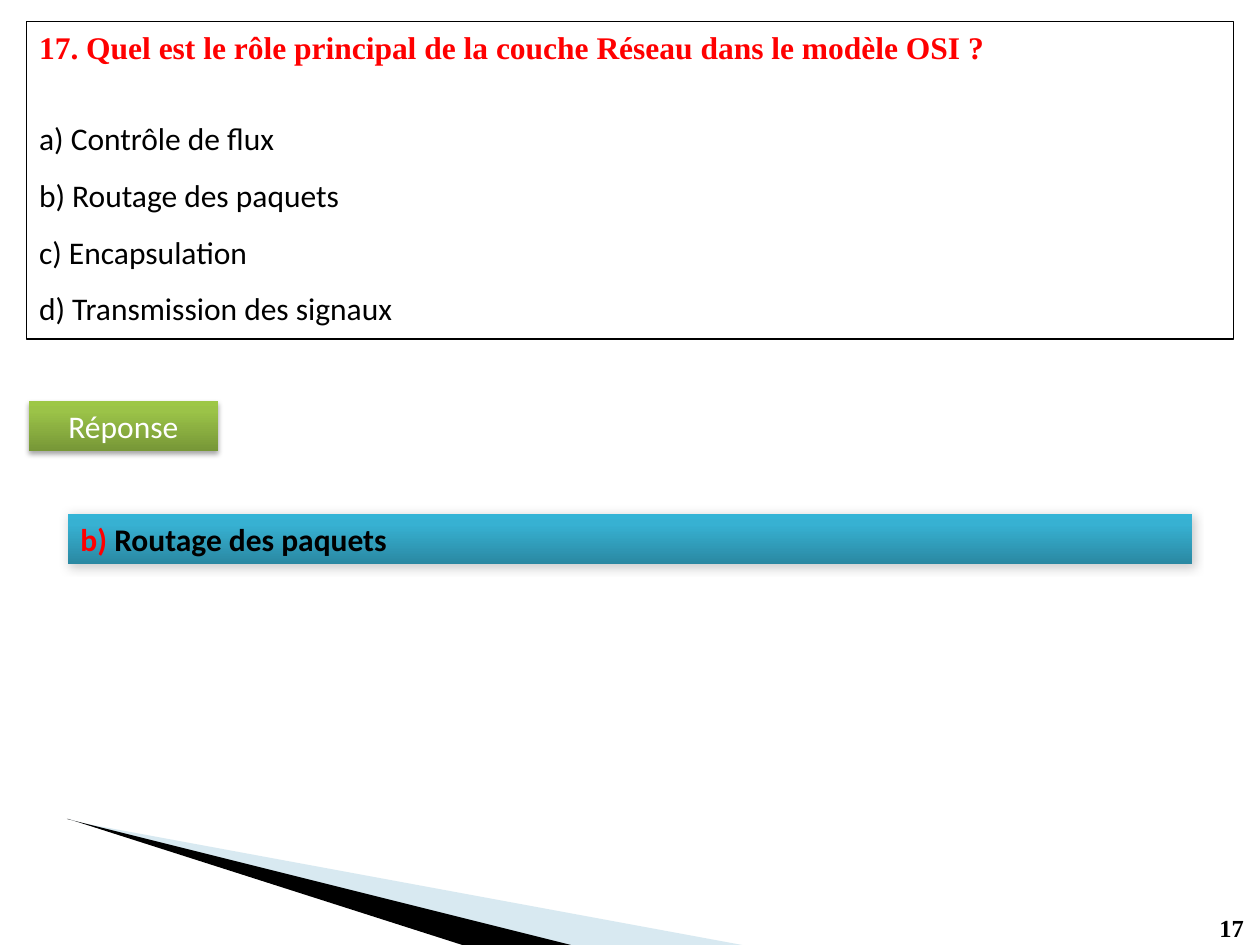
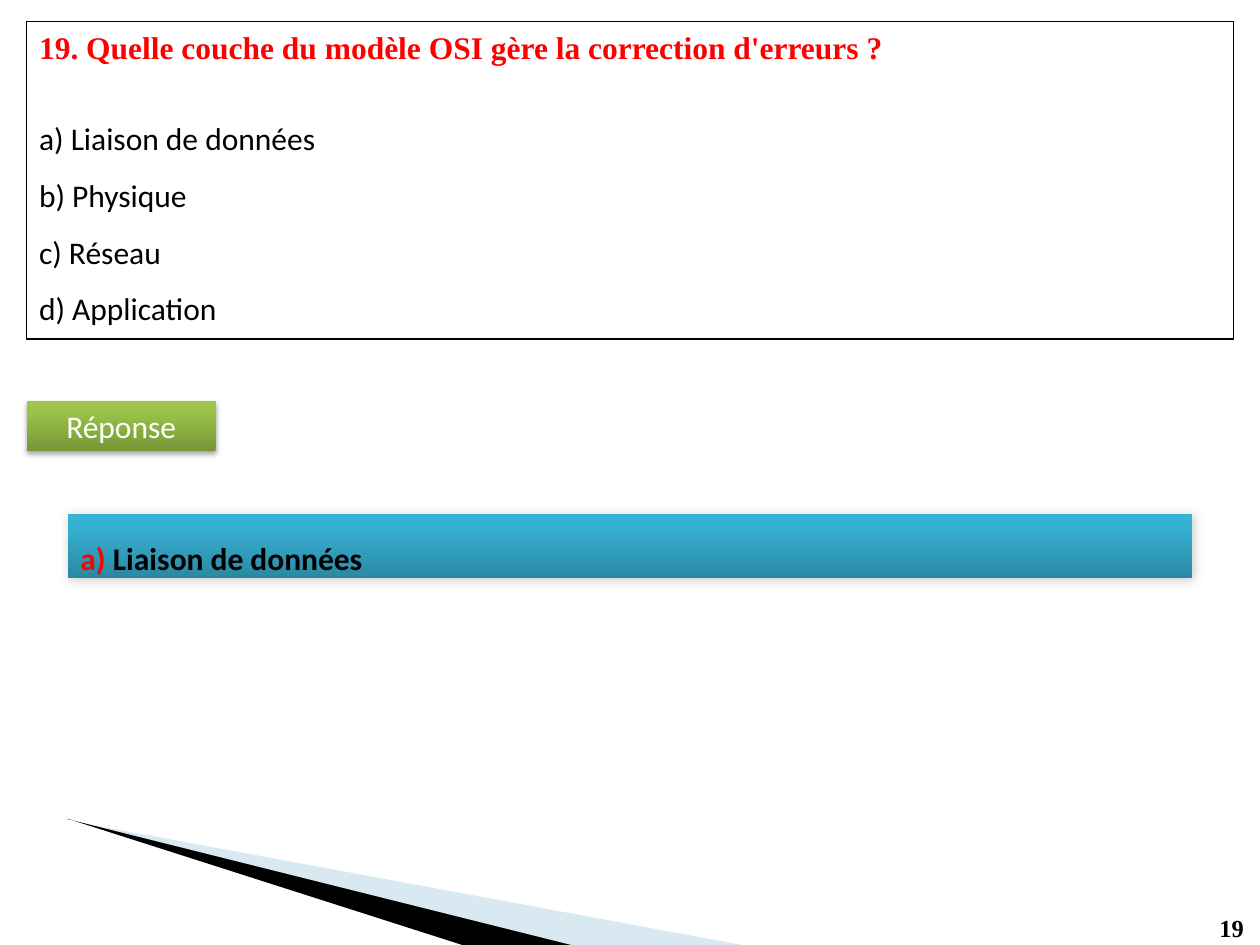
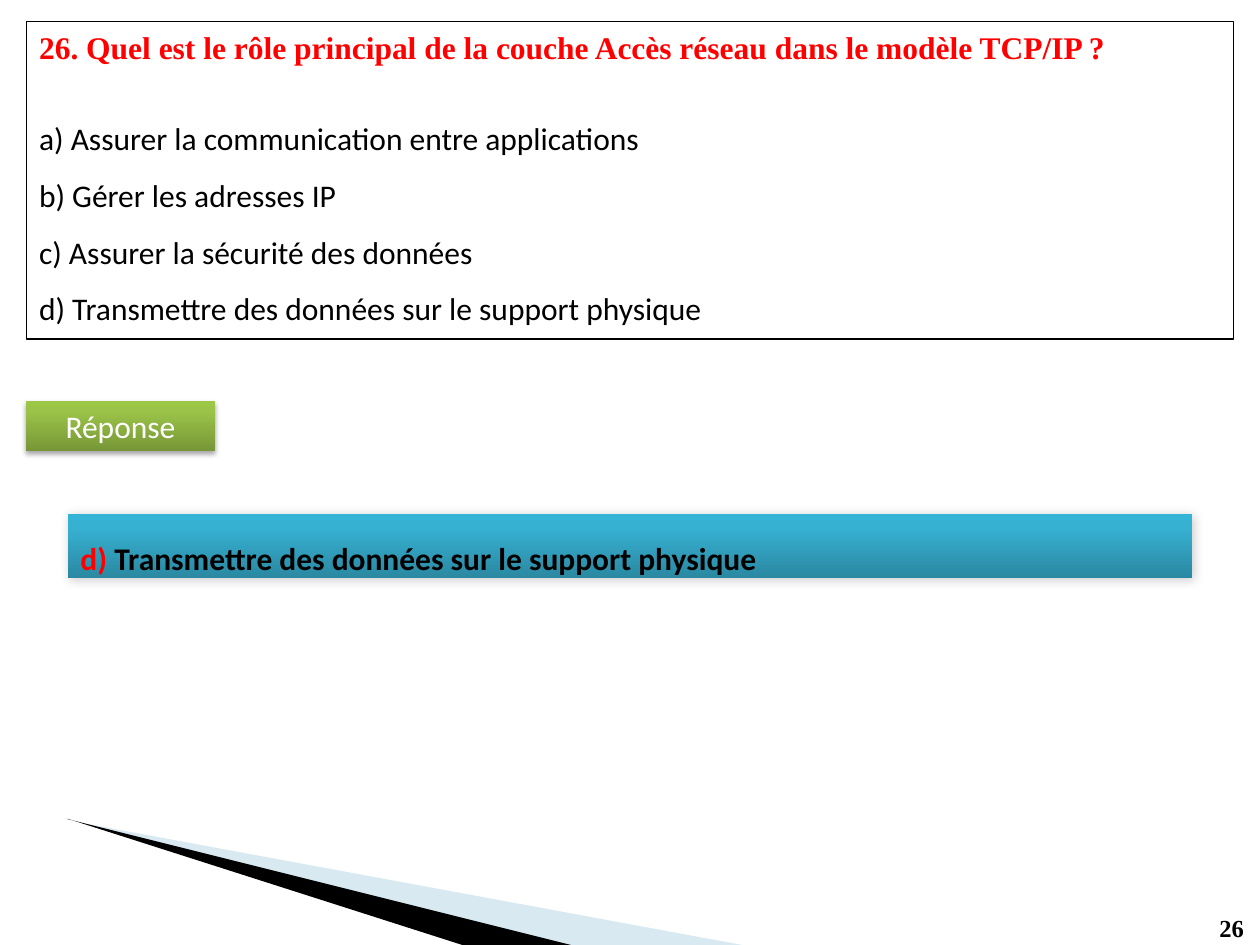
from copy import deepcopy

from pptx import Presentation
from pptx.dml.color import RGBColor
from pptx.enum.shapes import MSO_SHAPE
from pptx.enum.text import MSO_ANCHOR, MSO_AUTO_SIZE, PP_ALIGN
from pptx.oxml import parse_xml
from pptx.oxml.ns import nsdecls, qn
from pptx.util import Pt

RECTANGLE = MSO_SHAPE.RECTANGLE
TOP = MSO_ANCHOR.TOP
FIXED, GROW = MSO_AUTO_SIZE.NONE, MSO_AUTO_SIZE.SHAPE_TO_FIT_TEXT
LEFT, CENTER, JUSTIFY = PP_ALIGN.LEFT, PP_ALIGN.CENTER, PP_ALIGN.JUSTIFY

BLACK = RGBColor(0x00, 0x00, 0x00)
WHITE = RGBColor(0xFF, 0xFF, 0xFF)
RED = RGBColor(0xFF, 0x00, 0x00)
PALE_BLUE = RGBColor(0x9F, 0xCA, 0xDC)
GREENS = [RGBColor(0x77, 0x97, 0x37), RGBColor(0x9B, 0xC3, 0x48), RGBColor(0x9D, 0xC7, 0x46)]
BLUES = [RGBColor(0x2A, 0x88, 0xA2), RGBColor(0x37, 0xB1, 0xD2), RGBColor(0x34, 0xB4, 0xD6)]
GRADIENT_POSITIONS = [0, 0.8, 1]

QUESTION = {"name": "Times New Roman", "size": Pt(18), "bold": True, "color": RED}
OPTION = {"name": "Calibri", "size": Pt(18), "bold": False, "color": BLACK}
BADGE = {**OPTION, "color": WHITE}
ANSWER = {**OPTION, "bold": True}
ANSWER_LETTER = {**ANSWER, "color": RED}
PAGE_NUMBER = {**QUESTION, "size": Pt(14), "color": BLACK}

FRAME = (15.12, 12.24, 689.76, 181.44)
TITLE_HEIGHT = 30
OPTIONS_INSET = 45

PALE_WEDGE = [(39.6, 468), (46.1, 470.2), (424.1, 540), (324.7, 540), (46.1, 470.2)]
BLACK_WEDGE = [(38.2, 468), (39, 468), (264.2, 540), (326.2, 540)]

QUIZ = [
    {
        "number": 17,
        "question": "Quel est le rôle principal de la couche Réseau dans le modèle OSI ?",
        "options": ["Contrôle de flux", "Routage des paquets", "Encapsulation",
                    "Transmission des signaux"],
        "correct": 1,
        "badge_left": 16.56,
        "answer": {"height": 28.8, "spacing": 1.0, "align": JUSTIFY},
    },
    {
        "number": 19,
        "question": "Quelle couche du modèle OSI gère la correction d'erreurs ?",
        "options": ["Liaison de données", "Physique", "Réseau", "Application"],
        "correct": 0,
        "badge_left": 15.3,
        "answer": {"height": 36.72, "spacing": 1.5, "align": LEFT},
    },
    {
        "number": 26,
        "question": "Quel est le rôle principal de la couche Accès réseau dans le modèle TCP/IP ?",
        "options": ["Assurer la communication entre applications", "Gérer les adresses IP",
                    "Assurer la sécurité des données",
                    "Transmettre des données sur le support physique"],
        "correct": 3,
        "badge_left": 14.9,
        "answer": {"height": 36.72, "spacing": 1.5, "align": LEFT},
    },
]


def place(shape, left, top, width, height):
    values = {"left": left, "top": top, "width": width, "height": height}
    for name, value in values.items():
        setattr(shape, name, Pt(value))


def prepare_frame(shape, auto_size):
    text_frame = shape.text_frame
    values = {"word_wrap": True, "vertical_anchor": TOP, "auto_size": auto_size}
    for name, value in values.items():
        setattr(text_frame, name, value)
    return text_frame


def write_para(para, spans, align=LEFT, spacing=1.0):
    """Fill a paragraph with (text, format) spans."""
    values = {"alignment": align, "line_spacing": spacing, "space_before": Pt(0)}
    for name, value in values.items():
        setattr(para, name, value)
    for text, style in spans:
        span = para.add_run()
        span.text = text
        for name, value in style.items():
            if name == "color":
                span.font.color.rgb = value
            else:
                setattr(span.font, name, value)


def remove_bullet(para):
    properties = para._p.get_or_add_pPr()
    properties.set("marL", "0")
    properties.set("indent", "0")
    properties.append(parse_xml(f"<a:buNone {nsdecls('a')}/>"))


def fill_gradient(shape, colors):
    shape.fill.gradient()
    shape.fill.gradient_angle = 90
    stop_list = shape.element.spPr.find(".//" + qn("a:gsLst"))
    stop_list.append(deepcopy(stop_list[0]))
    for stop, color, position in zip(shape.fill.gradient_stops, colors, GRADIENT_POSITIONS):
        stop.color.rgb = color
        stop.position = position


def cast_shadow(shape, opacity, blur, distance, angle):
    shape.shadow.inherit = False
    effects = shape.element.spPr.find(qn("a:effectLst"))
    effects.append(parse_xml(
        f'<a:outerShdw {nsdecls("a")} blurRad="{Pt(blur)}" dist="{Pt(distance)}" '
        f'dir="{angle * 60000}" rotWithShape="0"><a:srgbClr val="{BLACK}">'
        f'<a:alpha val="{opacity * 1000}"/></a:srgbClr></a:outerShdw>'))


def add_gradient_box(page, bounds, colors, shadow, spans, align, spacing=1.0):
    box = page.shapes.add_shape(RECTANGLE, *map(Pt, bounds))
    fill_gradient(box, colors)
    box.line.fill.background()
    cast_shadow(box, *shadow)
    write_para(prepare_frame(box, GROW).paragraphs[0], spans, align, spacing)


def add_wedge(page, layout, points, color, opacity=100):
    """Draw a corner wedge and hand it to the layout, so every slide shows it."""
    corners = [(Pt(x), Pt(y)) for x, y in points]
    builder = page.shapes.build_freeform(*corners[0])
    builder.add_line_segments(corners[1:], close=True)
    wedge = builder.convert_to_shape()
    wedge.shadow.inherit = False
    wedge.fill.solid()
    wedge.fill.fore_color.rgb = color
    wedge.line.fill.background()
    if opacity < 100:
        fill_color = wedge.element.spPr.find(".//" + qn("a:srgbClr"))
        fill_color.append(parse_xml(f'<a:alpha {nsdecls("a")} val="{opacity * 1000}"/>'))
    layout.shapes.element.append(wedge.element)


def add_question(page, number, question, options):
    left, top, width, height = FRAME
    title, body = page.shapes.title, page.placeholders[1]
    place(title, left, top, width, TITLE_HEIGHT)
    write_para(prepare_frame(title, FIXED).paragraphs[0],
               [(f"{number}. {question}", QUESTION)])

    place(body, left, top, width, height)
    body.line.color.rgb = BLACK
    body.line.width = Pt(0.75)
    text_frame = prepare_frame(body, FIXED)
    text_frame.margin_top = Pt(OPTIONS_INSET)
    for index, option in enumerate(options):
        para = text_frame.add_paragraph() if index else text_frame.paragraphs[0]
        write_para(para, [(f"{'abcd'[index]}) {option}", OPTION)], spacing=1.5)
        remove_bullet(para)


def add_page_number(page, number):
    box = page.shapes.add_textbox(Pt(689.76), Pt(518.4), Pt(28.8), Pt(24.48))
    write_para(prepare_frame(box, GROW).paragraphs[0], [(str(number), PAGE_NUMBER)])


def add_quiz_page(page, item):
    add_page_number(page, item["number"])
    add_question(page, item["number"], item["question"], item["options"])
    add_gradient_box(page, (item["badge_left"], 228.96, 108, 28.8), GREENS,
                     (35, 3.1, 1.8, 90), [("Réponse", BADGE)], CENTER)
    correct, answer = item["correct"], item["answer"]
    spans = [(f"{'abcd'[correct]}) ", ANSWER_LETTER), (item["options"][correct], ANSWER)]
    add_gradient_box(page, (38.88, 293.76, 642.24, answer["height"]), BLUES,
                     (20, 6, 1, 45), spans, answer["align"], answer["spacing"])


def main():
    deck = Presentation()
    deck.slide_width, deck.slide_height = Pt(720), Pt(540)
    layout = deck.slide_layouts[1]
    pages = [deck.slides.add_slide(layout) for _ in QUIZ]
    add_wedge(pages[0], layout, PALE_WEDGE, PALE_BLUE, 40)
    add_wedge(pages[0], layout, BLACK_WEDGE, BLACK)
    for page, item in zip(pages, QUIZ):
        add_quiz_page(page, item)
    deck.save("out.pptx")


if __name__ == "__main__":
    main()
